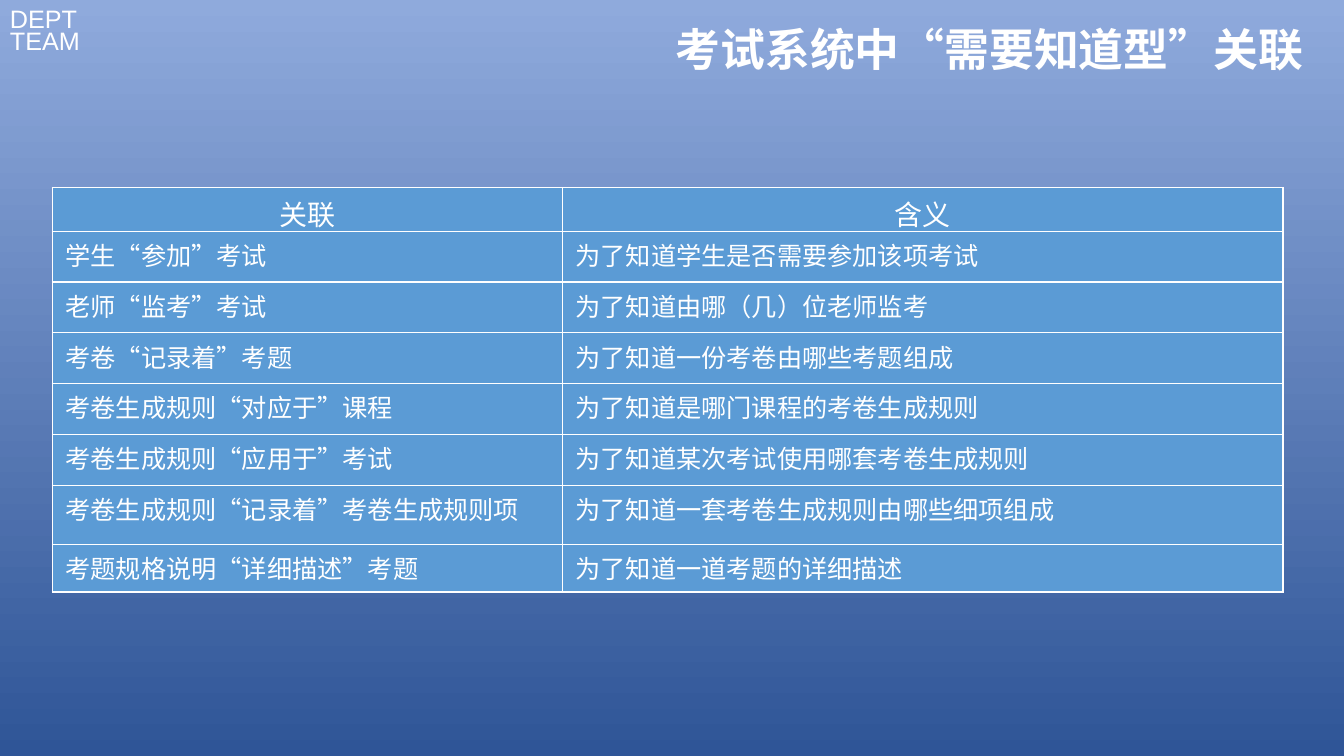
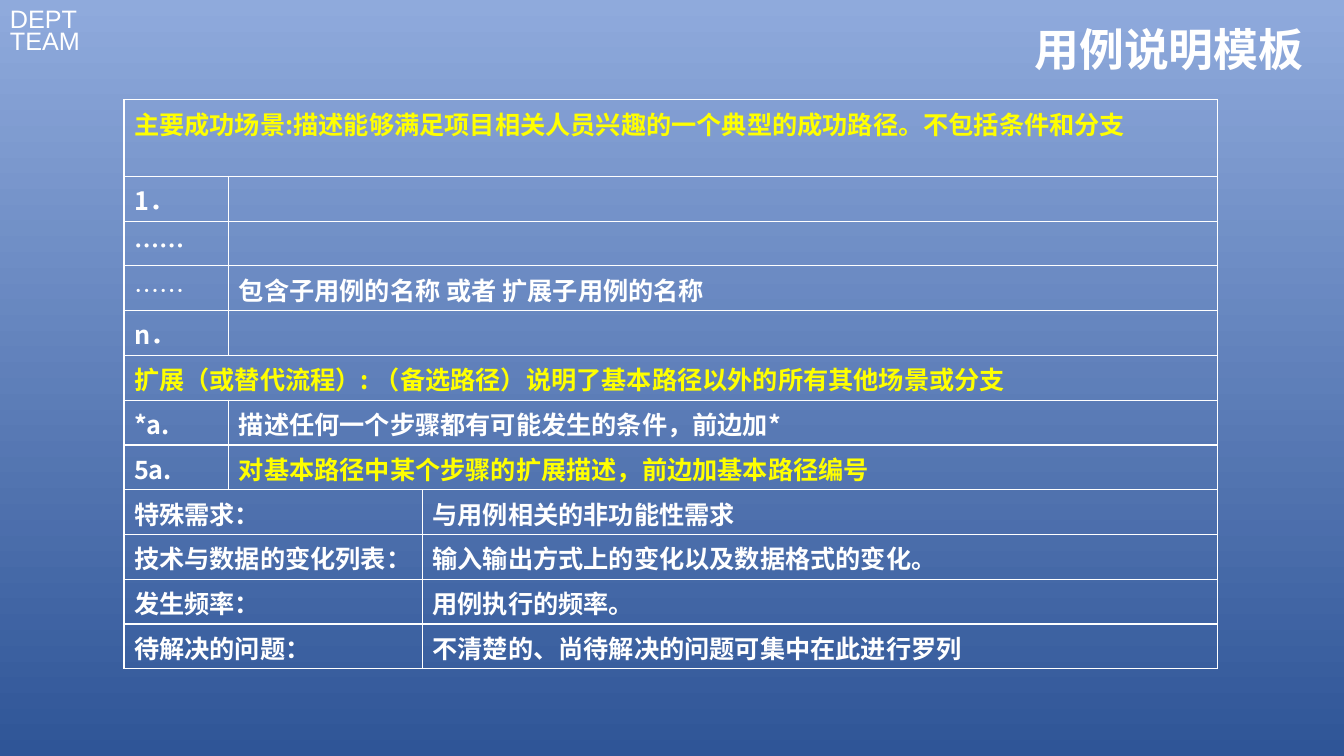
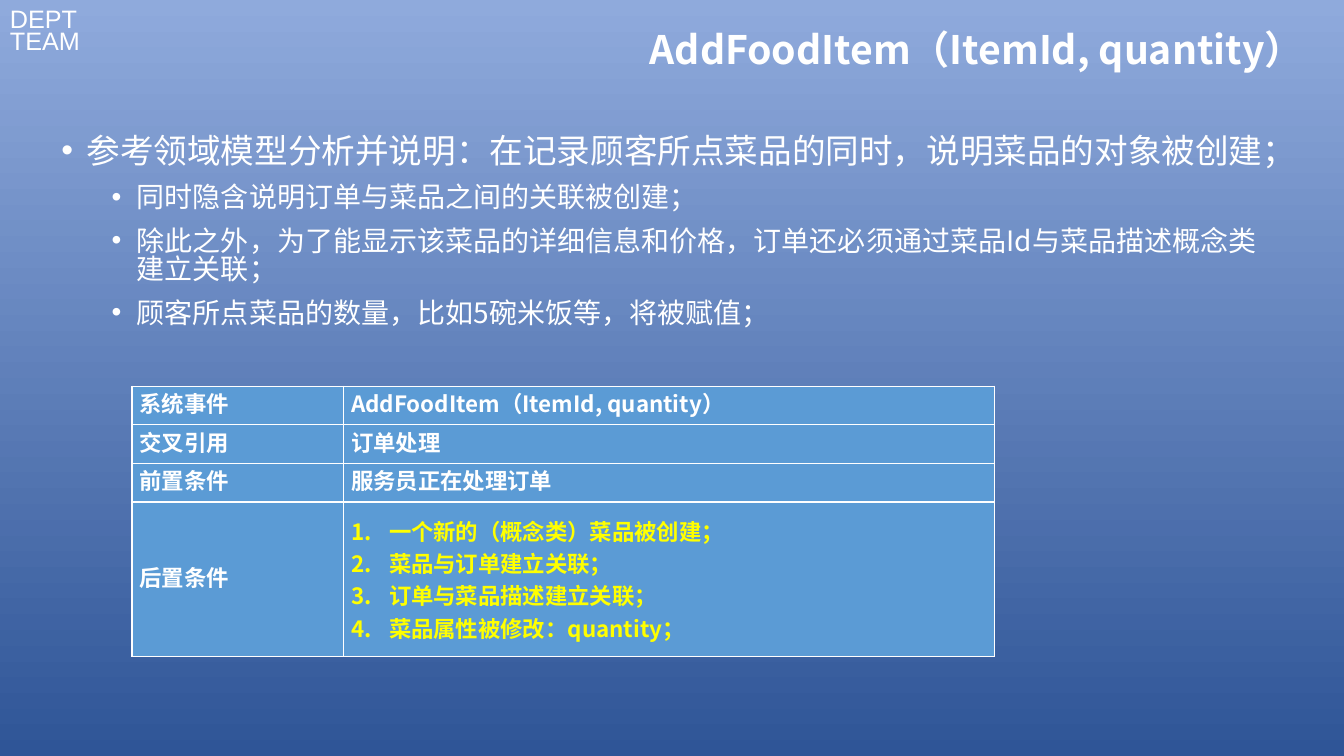
"""Build three lecture slides on use cases and domain associations."""
import pptx
import pptx.dml.color
import pptx.enum.text
import pptx.oxml
import pptx.oxml.ns
import pptx.util

Pt = pptx.util.Pt
ALIGN = pptx.enum.text.PP_ALIGN
ANCHOR = pptx.enum.text.MSO_ANCHOR

COLOURS = {
    "sky": "8FAADC",
    "navy": "2F5597",
    "cell": "5B9BD5",
    "text": "FFFFFF",
    "accent": "FFFF00",
}
FONT = "Noto Sans CJK SC"
LABEL_FONT = "Arial"

ASSOCIATIONS = [
    ("学生“参加”考试", "为了知道学生是否需要参加该项考试"),
    ("老师“监考”考试", "为了知道由哪（几）位老师监考"),
    ("考卷“记录着”考题", "为了知道一份考卷由哪些考题组成"),
    ("考卷生成规则“对应于”课程", "为了知道是哪门课程的考卷生成规则"),
    ("考卷生成规则“应用于”考试", "为了知道某次考试使用哪套考卷生成规则"),
    ("考卷生成规则“记录着”考卷生成规则项", "为了知道一套考卷生成规则由哪些细项组成"),
    ("考题规格说明“详细描述”考题", "为了知道一道考题的详细描述"),
]

TEMPLATE_SPANS = {"heading": [(0, 2)], "step": [(0, 0), (1, 2)], "topic": [(0, 1), (2, 2)]}
TEMPLATE_ROWS = [
    ("heading", ["主要成功场景:描述能够满足项目相关人员兴趣的一个典型的成功路径。不包括条件和分支"]),
    ("step", ["1．", ""]),
    ("step", ["……", ""]),
    ("step", ["……", "包含子用例的名称 或者 扩展子用例的名称"]),
    ("step", ["n．", ""]),
    ("heading", ["扩展（或替代流程）: （备选路径）说明了基本路径以外的所有其他场景或分支"]),
    ("step", ["*a.", "描述任何一个步骤都有可能发生的条件，前边加*"]),
    ("step", ["5a.", "对基本路径中某个步骤的扩展描述，前边加基本路径编号"]),
    ("topic", ["特殊需求：", "与用例相关的非功能性需求"]),
    ("topic", ["技术与数据的变化列表：", "输入输出方式上的变化以及数据格式的变化。"]),
    ("topic", ["发生频率：", "用例执行的频率。"]),
    ("topic", ["待解决的问题：", "不清楚的、尚待解决的问题可集中在此进行罗列"]),
]
PLAIN_CELLS = {(3, 0)}
ACCENT_CELLS = {(0, 0), (5, 0), (7, 1)}

OPERATION = "AddFoodItem（ItemId, quantity）"
POINTS = [
    "参考领域模型分析并说明：在记录顾客所点菜品的同时，说明菜品的对象被创建；",
    "同时隐含说明订单与菜品之间的关联被创建；",
    "除此之外，为了能显示该菜品的详细信息和价格，订单还必须通过菜品Id与菜品描述概念类建立关联；",
    "顾客所点菜品的数量，比如5碗米饭等，将被赋值；",
]
CONTRACT = [
    ("系统事件", [OPERATION]),
    ("交叉引用", ["订单处理"]),
    ("前置条件", ["服务员正在处理订单"]),
    ("后置条件", [
        "一个新的（概念类）菜品被创建；",
        "菜品与订单建立关联；",
        "订单与菜品描述建立关联；",
        "菜品属性被修改：quantity；",
    ]),
]


def colour(name):
    return pptx.dml.color.RGBColor.from_string(COLOURS[name])


def add_xml(parent, tag, **attributes):
    element = pptx.oxml.parse_xml(f"<a:{tag} {pptx.oxml.ns.nsdecls('a')}/>")
    for key, value in attributes.items():
        element.set(key, str(value))
    parent.append(element)
    return element


def add_run(para, text, size, bold=False, tint="text", font=FONT):
    span = para.add_run()
    span.text = text
    span.font.size = Pt(size)
    span.font.bold = bold
    span.font.name = font
    span.font.color.rgb = colour(tint)
    add_xml(span.font._element, "ea", typeface=font)


def add_bullet(para, left, hanging, numbered=False):
    properties = para._p.get_or_add_pPr()
    properties.set("marL", str(Pt(left)))
    properties.set("indent", str(-Pt(hanging)))
    if numbered:
        add_xml(properties, "buFont", typeface="+mj-lt")
        add_xml(properties, "buAutoNum", type="arabicPeriod")
    else:
        add_xml(properties, "buFont", typeface="Arial")
        add_xml(properties, "buChar", char="•")


def add_box(page, left, top, width, height, anchor=ANCHOR.TOP):
    box = page.shapes.add_textbox(Pt(left), Pt(top), Pt(width), Pt(height))
    frame = box.text_frame
    frame.word_wrap = True
    frame.vertical_anchor = anchor
    return frame


def add_page(deck, title, title_size=32):
    page = deck.slides.add_slide(deck.slide_layouts[6])
    label = add_box(page, 0, 3.6, 109.4, 41).paragraphs[0]
    label.line_spacing = 0.75
    add_run(label, "DEPT TEAM", 18, font=LABEL_FONT)
    heading = add_box(page, 124.6, 11.5, 813.6, 51.1, ANCHOR.MIDDLE).paragraphs[0]
    heading.alignment = ALIGN.RIGHT
    heading.line_spacing = 0.9
    add_run(heading, title, title_size, bold=True)
    return page


def add_grid(page, left, top, widths, heights, margins, fill=None, anchor=ANCHOR.TOP):
    frame = page.shapes.add_table(
        len(heights), len(widths), Pt(left), Pt(top), Pt(sum(widths)), Pt(sum(heights)))
    table = frame.table
    table.first_row = False
    table.horz_banding = False
    for column, width in zip(table.columns, widths):
        column.width = Pt(width)
    for row, height in zip(table.rows, heights):
        row.height = Pt(height)
    for cell in table.iter_cells():
        style_cell(cell, margins, fill, anchor)
    return table


def style_cell(cell, margins, fill, anchor):
    side, edge = margins
    cell.margin_left = cell.margin_right = Pt(side)
    cell.margin_top = cell.margin_bottom = Pt(edge)
    cell.vertical_anchor = anchor
    properties = cell._tc.get_or_add_tcPr()
    for tag in ("lnL", "lnR", "lnT", "lnB"):
        line = add_xml(properties, tag, w=Pt(1))
        add_xml(add_xml(line, "solidFill"), "srgbClr", val=COLOURS["text"])
    if fill:
        cell.fill.solid()
        cell.fill.fore_color.rgb = colour(fill)
    else:
        cell.fill.background()


def add_associations(deck):
    page = add_page(deck, "考试系统中“需要知道型”关联")
    heights = [31] + [36.3] * 5 + [42.5, 33.8]
    table = add_grid(page, 37.4, 133.9, [364.3, 514.8], heights, (9.4, 3.6), "cell")
    for row, texts in enumerate([("关联", "含义")] + ASSOCIATIONS):
        for column, text in enumerate(texts):
            para = table.cell(row, column).text_frame.paragraphs[0]
            para.alignment = ALIGN.LEFT if row else ALIGN.CENTER
            add_run(para, text, 18 if row else 20)


def add_template(deck):
    page = add_page(deck, "用例说明模板")
    table = add_grid(page, 88.6, 71.3, [74.9, 138.2, 568.1], [54.7] + [32] * 11, (7.2, 3.6))
    for row, (kind, texts) in enumerate(TEMPLATE_ROWS):
        for position, ((first, last), text) in enumerate(zip(TEMPLATE_SPANS[kind], texts)):
            cell = table.cell(row, first)
            if last > first:
                cell.merge(table.cell(row, last))
            if text:
                key = (row, position)
                tint = "accent" if key in ACCENT_CELLS else "text"
                add_run(cell.text_frame.paragraphs[0], text, 18, key not in PLAIN_CELLS, tint)


def add_points(page):
    frame = add_box(page, 36.7, 93.6, 878.4, 392.4)
    for index, text in enumerate(POINTS):
        para = frame.add_paragraph() if index else frame.paragraphs[0]
        para.line_spacing = 0.84
        para.space_before = Pt(5 if index else 10)
        para.space_after = Pt(6)
        para.level = 1 if index else 0
        add_bullet(para, 54 if index else 18, 18)
        add_run(para, text, 20 if index else 24)


def add_contract(deck):
    page = add_page(deck, OPERATION, 28)
    add_points(page)
    table = add_grid(page, 94.3, 275.8, [151.2, 465.1], [27.6] * 3 + [110.2],
                     (5.4, 0), "cell", ANCHOR.MIDDLE)
    for row, (name, lines) in enumerate(CONTRACT):
        numbered = len(lines) > 1
        add_contract_cell(table.cell(row, 0), [name], False)
        add_contract_cell(table.cell(row, 1), lines, numbered)


def add_contract_cell(cell, lines, numbered):
    frame = cell.text_frame
    for index, text in enumerate(lines):
        para = frame.add_paragraph() if index else frame.paragraphs[0]
        para.alignment = ALIGN.JUSTIFY
        para.line_spacing = 0.75 if not numbered else 1
        if numbered:
            add_bullet(para, 27, 27, numbered=True)
        add_run(para, text, 16, True, "accent" if numbered else "text")


def main():
    deck = pptx.Presentation()
    deck.slide_width = Pt(960)
    deck.slide_height = Pt(540)
    backdrop = deck.slide_master.background.fill
    backdrop.gradient()
    backdrop.gradient_angle = 270
    for stop, name in zip(backdrop.gradient_stops, ("sky", "navy")):
        stop.color.rgb = colour(name)
    add_associations(deck)
    add_template(deck)
    add_contract(deck)
    deck.save("out.pptx")


if __name__ == "__main__":
    main()
